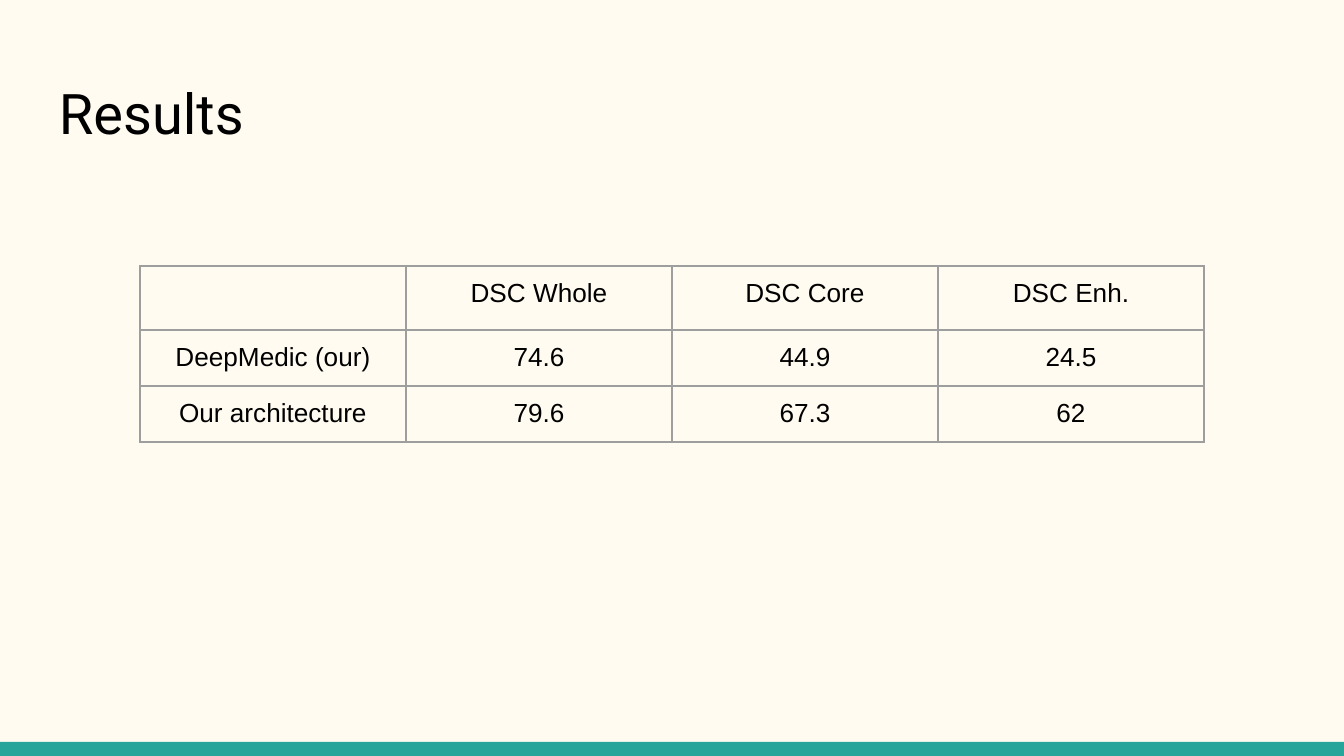
from lxml import etree
from pptx import Presentation
from pptx.dml.color import RGBColor
from pptx.enum.shapes import MSO_SHAPE
from pptx.enum.text import MSO_ANCHOR, PP_ALIGN
from pptx.oxml.ns import qn
from pptx.util import Pt

TITLE = "Results"
ROWS = [
    ("", "DSC Whole", "DSC Core", "DSC Enh."),
    ("DeepMedic (our)", "74.6", "44.9", "24.5"),
    ("Our architecture", "79.6", "67.3", "62"),
]

CREAM = RGBColor(0xFF, 0xFB, 0xF0)
TEAL = RGBColor(0x26, 0xA6, 0x9A)
GREY = RGBColor(0x9E, 0x9E, 0x9E)
BLACK = RGBColor(0, 0, 0)
RECT = MSO_SHAPE.RECTANGLE
TOP = MSO_ANCHOR.TOP
LEFT, CENTER = PP_ALIGN.LEFT, PP_ALIGN.CENTER

WIDE, HIGH = 1344, 756
BAR = 14
COL = 266
HEIGHTS = [64, 56, 56]
TABLE_TOP = 266
PAD = 13
SIDES = ("left", "right", "top", "bottom")
TITLE_FONT = {"name": "Roboto", "size": Pt(30), "bold": False}
CELL_FONT = {"name": "Arial", "size": Pt(14), "bold": False}


def px(n):
    return round(n * 914400 / 134.4)


def apply(item, values):
    for key, value in values.items():
        setattr(item, key, value)


def write(frame, text, font, align):
    frame.text = text
    par = frame.paragraphs[0]
    par.alignment = align
    apply(par.font, font)
    par.font.color.rgb = BLACK


def outline(cell):
    """Draw a thin grey line on all four sides of a table cell."""
    props = cell._tc.get_or_add_tcPr()
    for spot, tag in enumerate(("a:lnL", "a:lnR", "a:lnT", "a:lnB")):
        line = etree.Element(qn(tag), w=str(Pt(0.75)))
        fill = etree.SubElement(line, qn("a:solidFill"))
        etree.SubElement(fill, qn("a:srgbClr"), val=str(GREY))
        props.insert(spot, line)


deck = Presentation()
deck.slide_width, deck.slide_height = px(WIDE), px(HIGH)
slide = deck.slides.add_slide(deck.slide_layouts[5])
slide.background.fill.solid()
slide.background.fill.fore_color.rgb = CREAM

bar = slide.shapes.add_shape(RECT, 0, px(HIGH - BAR), px(WIDE), px(BAR))
bar.shadow.inherit = False
bar.fill.solid()
bar.fill.fore_color.rgb = TEAL
bar.line.fill.background()

title = slide.shapes.title
apply(title, {"left": px(46), "top": px(66), "width": px(WIDE - 2 * 46), "height": px(90)})
write(title.text_frame, TITLE, TITLE_FONT, LEFT)
apply(title.text_frame, {f"margin_{side}": px(PAD) for side in SIDES})
apply(title.text_frame, {"vertical_anchor": TOP, "word_wrap": True})

span = COL * len(ROWS[0])
table = slide.shapes.add_table(
    len(ROWS), len(ROWS[0]), px((WIDE - span) / 2), px(TABLE_TOP),
    px(span), px(sum(HEIGHTS))).table
apply(table, {"first_row": False, "horz_banding": False})
for col in table.columns:
    col.width = px(COL)
for r, (texts, height) in enumerate(zip(ROWS, HEIGHTS)):
    table.rows[r].height = px(height)
    for c, text in enumerate(texts):
        cell = table.cell(r, c)
        write(cell.text_frame, text, CELL_FONT, CENTER)
        apply(cell, {f"margin_{side}": px(PAD) for side in SIDES})
        cell.vertical_anchor = TOP
        cell.fill.background()
        outline(cell)

deck.save("out.pptx")
